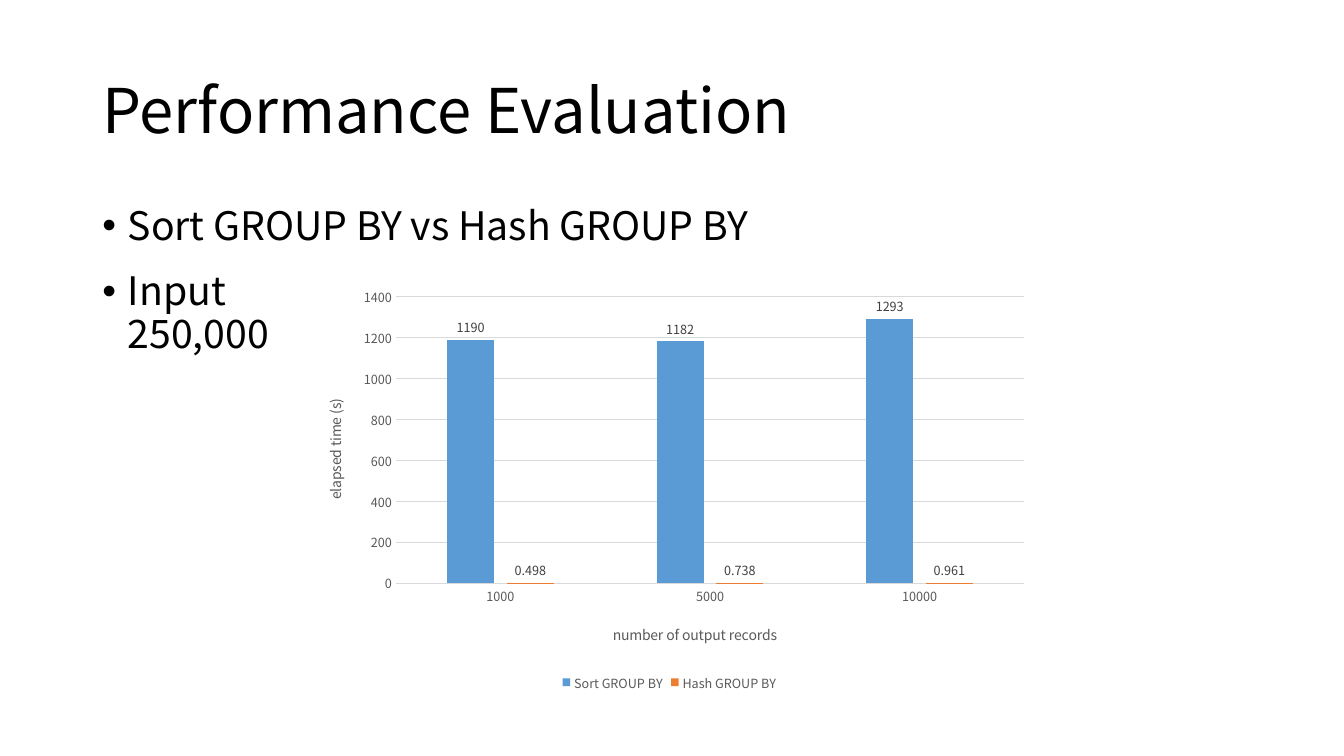
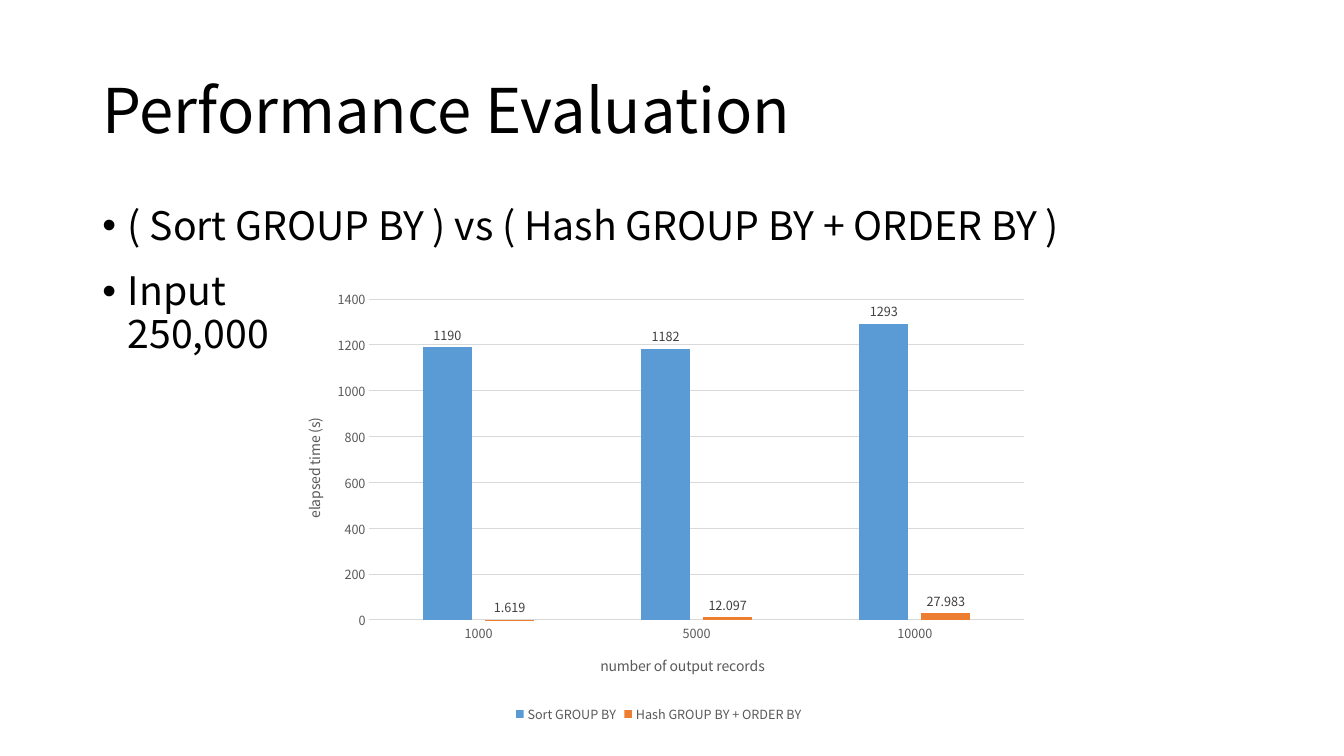
from lxml.etree import SubElement, fromstring
from pptx import Presentation
from pptx.chart.data import CategoryChartData
from pptx.dml.color import RGBColor
from pptx.enum.chart import XL_CHART_TYPE, XL_LABEL_POSITION, XL_LEGEND_POSITION, XL_TICK_MARK
from pptx.enum.text import MSO_ANCHOR
from pptx.oxml.ns import nsdecls, qn
from pptx.util import Cm, Pt

FONT = "Noto Sans CJK KR"
COLORS = {
    "text": "000000",
    "axis": "595959",
    "label": "404040",
    "grid": "D9D9D9",
    "sort": "5B9BD5",
    "hash": "ED7D31",
}
TITLE_AREA = (2.33, 1.01, 29.21, 3.68)
BODY_AREA = (2.33, 5.07, 29.21, 12.09)
INPUT_AREA = (2.33, 6.73, 7.3, 9.4)
RECORD_COUNTS = ["1000", "5000", "10000"]
SORT_TIMES = [1190, 1182, 1293]

# Chart areas are in centimetres; layouts inside a chart are fractions of it.
SLIDES = [
    {
        "topic": "Sort GROUP BY vs Hash GROUP BY",
        "hash_name": "Hash GROUP BY",
        "hash_times": [0.498, 0.738, 0.961],
        "chart_area": (7.55, 7.06, 18.64, 10.46),
        "plot": {"x": 0.13, "y": 0.04, "w": 0.85, "h": 0.69},
        "category_title": {"x": 0.42, "y": 0.82},
        "value_title": {"x": 0.03, "y": 0.28},
    },
    {
        "topic": "( Sort GROUP BY ) vs ( Hash GROUP BY + ORDER BY )",
        "hash_name": "Hash GROUP BY + ORDER BY",
        "hash_times": [1.619, 12.097, 27.983],
        "chart_area": (7.01, 7.09, 19.18, 11.23),
        "plot": {"x": 0.12, "y": 0.04, "w": 0.86, "h": 0.72},
        "category_title": {"x": 0.42, "y": 0.83},
        "value_title": {"x": 0.03, "y": 0.3},
    },
]


def style_font(font, size, color):
    """Set the shared typeface with a size and a named colour."""
    font.name = FONT
    font.size = Pt(size)
    font.bold = False
    font.color.rgb = RGBColor.from_string(COLORS[color])


def set_layout(parent, index, fractions):
    """Place a chart part by fractions of the chart's size."""
    for old in parent.findall(qn("c:layout")):
        parent.remove(old)
    layout = fromstring(f"<c:layout {nsdecls('c')}/>")
    manual = SubElement(layout, qn("c:manualLayout"))
    if "w" in fractions:
        SubElement(manual, qn("c:layoutTarget"), val="inner")
    for side in "xy":
        SubElement(manual, qn(f"c:{side}Mode"), val="edge")
    for side, value in fractions.items():
        SubElement(manual, qn(f"c:{side}"), val=str(value))
    parent.insert(index, layout)


deck = Presentation()
deck.slide_width, deck.slide_height = Cm(33.87), Cm(19.05)

for content in SLIDES:
    page = deck.slides.add_slide(deck.slide_layouts[6])

    # Title and bullets
    for area, text, size, bulleted in [
        (TITLE_AREA, "Performance Evaluation", 44, False),
        (BODY_AREA, content["topic"], 28, True),
        (INPUT_AREA, "Input 250,000", 28, True),
    ]:
        box = page.shapes.add_textbox(*map(Cm, area))
        frame = box.text_frame
        frame.word_wrap = True
        frame.vertical_anchor = MSO_ANCHOR.TOP if bulleted else MSO_ANCHOR.MIDDLE
        para = frame.paragraphs[0]
        para.text = text
        para.line_spacing = 0.9
        if bulleted:
            para.space_before = Pt(10)
            properties = para._p.get_or_add_pPr()
            properties.set("marL", str(Cm(0.64)))
            properties.set("indent", str(-Cm(0.64)))
            SubElement(properties, qn("a:buFont"), typeface="Arial")
            SubElement(properties, qn("a:buChar"), char="•")
        style_font(para.font, size, "text")

    # Elapsed time chart
    data = CategoryChartData()
    data.categories = RECORD_COUNTS
    data.add_series("Sort GROUP BY", SORT_TIMES)
    data.add_series(content["hash_name"], content["hash_times"])
    chart = page.shapes.add_chart(
        XL_CHART_TYPE.COLUMN_CLUSTERED, *map(Cm, content["chart_area"]), data
    ).chart
    style_font(chart.font, 10, "text")
    chart.has_title = False
    chart.has_legend = True
    chart.legend.position = XL_LEGEND_POSITION.BOTTOM
    chart.legend.include_in_layout = False
    style_font(chart.legend.font, 9, "axis")

    plot = chart.plots[0]
    plot.vary_by_categories = False
    plot.gap_width, plot.overlap = 219, -27
    for series, color in zip(plot.series, ("sort", "hash")):
        series.format.fill.solid()
        series.format.fill.fore_color.rgb = RGBColor.from_string(COLORS[color])
        series.invert_if_negative = False
        labels = series.data_labels
        labels.show_value = True
        labels.position = XL_LABEL_POSITION.OUTSIDE_END
        style_font(labels.font, 9, "label")

    for axis, title, place in [
        (chart.category_axis, "number of output records", "category_title"),
        (chart.value_axis, "elapsed time (s)", "value_title"),
    ]:
        axis.major_tick_mark = axis.minor_tick_mark = XL_TICK_MARK.NONE
        style_font(axis.tick_labels.font, 9, "axis")
        title_para = axis.axis_title.text_frame.paragraphs[0]
        title_para.text = title
        style_font(title_para.font, 10, "axis")
        set_layout(axis.axis_title._element, 1, content[place])

    value_axis = chart.value_axis
    value_axis.axis_title.text_frame._txBody.bodyPr.set("rot", "-5400000")
    value_axis.minimum_scale, value_axis.maximum_scale = 0, 1400
    value_axis.major_unit = 200
    value_axis.format.line.fill.background()
    for line in (chart.category_axis.format.line, value_axis.major_gridlines.format.line):
        line.color.rgb = RGBColor.from_string(COLORS["grid"])
        line.width = Pt(0.75)
    set_layout(chart._chartSpace.chart.plotArea, 0, content["plot"])

deck.save("out.pptx")
